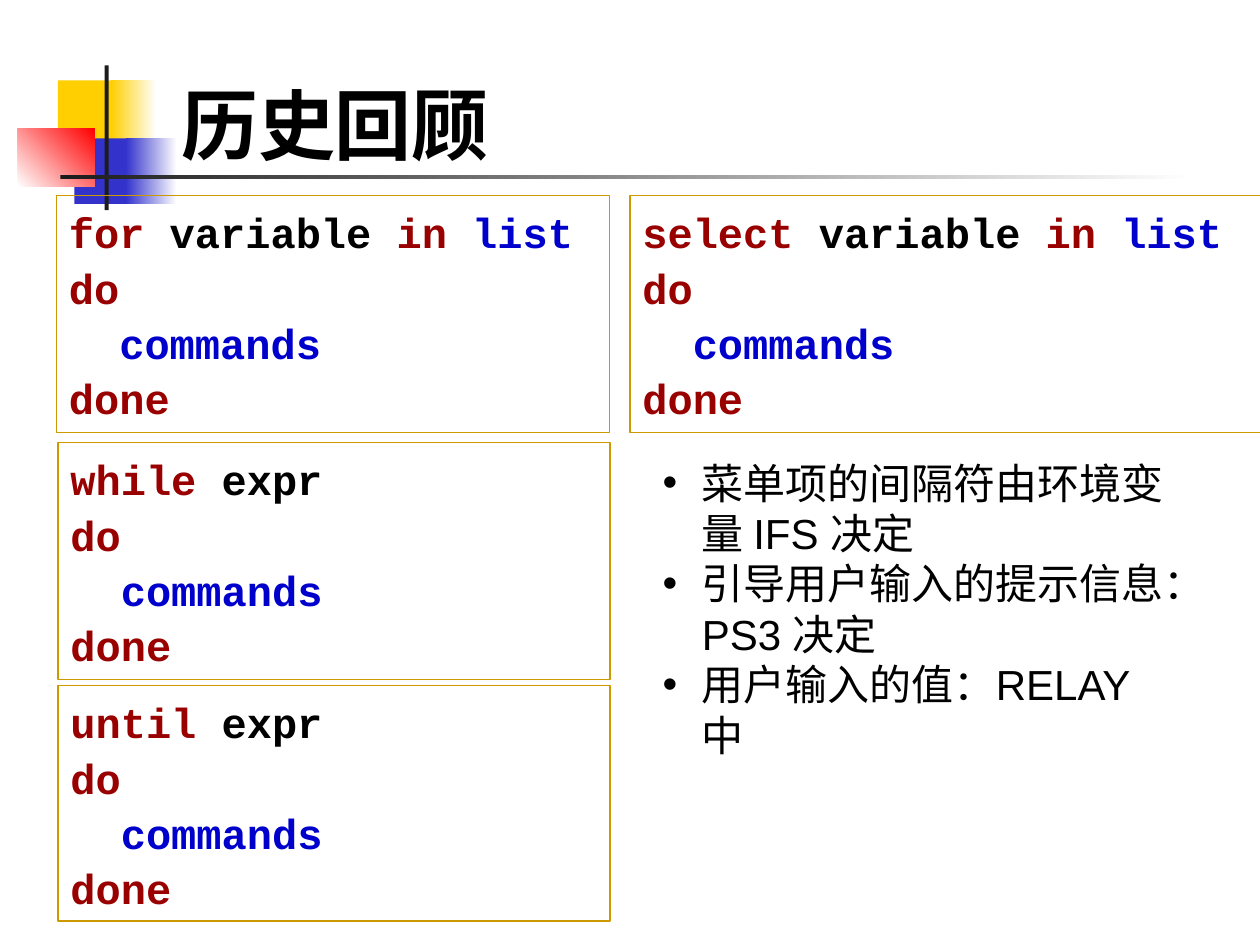
from lxml import etree
from pptx import Presentation
from pptx.dml.color import RGBColor
from pptx.enum.shapes import MSO_SHAPE
from pptx.enum.text import MSO_ANCHOR, PP_ALIGN
from pptx.oxml.ns import qn
from pptx.util import Cm, Pt

RECT = MSO_SHAPE.RECTANGLE
TOP = MSO_ANCHOR.TOP
BOTTOM = MSO_ANCHOR.BOTTOM
LEFT = PP_ALIGN.LEFT

HUES = {
    "gold": "FFCF01",
    "blue": "3333CC",
    "red": "FF0000",
    "white": "FFFFFF",
    "dark": "1C1C1C",
    "black": "000000",
    "edge": "CC9900",
    "key": "990000",
    "name": "0000CC",
}


def hue(name):
    return RGBColor.from_string(HUES[name])


def style(run, font, size, color, bold=False):
    run.font.name = font
    run.font.size = Pt(size)
    run.font.bold = bold
    run.font.color.rgb = hue(color)


def block(slide, box):
    shape = slide.shapes.add_shape(RECT, *map(Cm, box))
    shape.shadow.inherit = False
    shape.line.fill.background()
    return shape


def label(slide, box, anchor):
    frame = slide.shapes.add_textbox(*map(Cm, box)).text_frame
    frame.word_wrap = True
    frame.vertical_anchor = anchor
    return frame


def add_decor(slide, left, top):
    parts = [
        (0.81, 0.3, 1.22, 1.32, ["gold"], 0),
        (1.88, 0.3, 0.91, 1.32, ["gold", "white"], 0),
        (1.14, 1.47, 1.17, 1.32, ["blue"], 0),
        (2.18, 1.47, 1.02, 1.32, ["blue", "white"], 0),
        (0, 1.27, 1.55, 1.17, ["white", "red"], 45),
        (1.75, 0, 0.08, 2.92, ["dark"], 0),
        (0.86, 2.21, 22.86, 0.08, ["dark", "white"], 0),
    ]
    for x, y, wide, high, tones, angle in parts:
        fill = block(slide, (left + x, top + y, wide, high)).fill
        if len(tones) == 1:
            fill.solid()
            fill.fore_color.rgb = hue(tones[0])
        else:
            fill.gradient()
            fill.gradient_angle = angle
            for stop, tone in zip(fill.gradient_stops, tones):
                stop.color.rgb = hue(tone)


def add_title(slide, box, text):
    frame = label(slide, box, BOTTOM)
    frame.text = text
    style(frame.paragraphs[0].runs[0], "Lato", 44, "black", True)


def add_code(slide, box, head):
    shape = block(slide, box)
    shape.fill.background()
    shape.line.color.rgb = hue("edge")
    shape.line.width = Pt(0.75)
    frame = shape.text_frame
    frame.word_wrap = True
    frame.vertical_anchor = TOP
    rows = [head, [("do", "key")], [("  commands", "name")], [("done", "key")]]
    frame.text = "\n".join("" for row in rows)
    for para, row in zip(frame.paragraphs, rows):
        para.alignment = LEFT
        para.line_spacing = 1.1
        for text, color in row:
            run = para.add_run()
            run.text = text
            style(run, "Courier New", 24, color, True)


def add_notes(slide, box, items):
    frame = label(slide, box, TOP)
    frame.text = "\n".join(items)
    for para in frame.paragraphs:
        props = para._p.get_or_add_pPr()
        props.set("marL", str(Cm(0.79)))
        props.set("indent", str(-Cm(0.79)))
        etree.SubElement(props, qn("a:buFont"), typeface="Arial")
        etree.SubElement(props, qn("a:buChar"), char="•")
        style(para.runs[0], "Arial", 24, "black")


def main():
    deck = Presentation()
    deck.slide_width = Cm(25.4)
    deck.slide_height = Cm(19.05)
    slide = deck.slides.add_slide(deck.slide_layouts[6])
    add_decor(slide, 0.36, 1.32)
    add_title(slide, (3.4, 0.2, 21.64, 3.35), "历史回顾")

    over = [("variable ", "black"), ("in ", "key"), ("list", "name")]
    test = [("expr", "black")]
    loops = [
        ((1.14, 3.94, 11.15, 4.78), "for ", over),
        ((1.17, 8.92, 11.13, 4.78), "while ", test),
        ((1.17, 13.82, 11.13, 4.75), "until ", test),
        ((12.7, 3.94, 12.8, 4.78), "select ", over),
    ]
    for box, word, rest in loops:
        add_code(slide, box, [(word, "key")] + rest)

    add_notes(slide, (13.11, 9.09, 10.8, 6.4), [
        "菜单项的间隔符由环境变量 IFS 决定",
        "引导用户输入的提示信息：PS3 决定",
        "用户输入的值：RELAY 中",
    ])
    deck.save("out.pptx")


if __name__ == "__main__":
    main()
